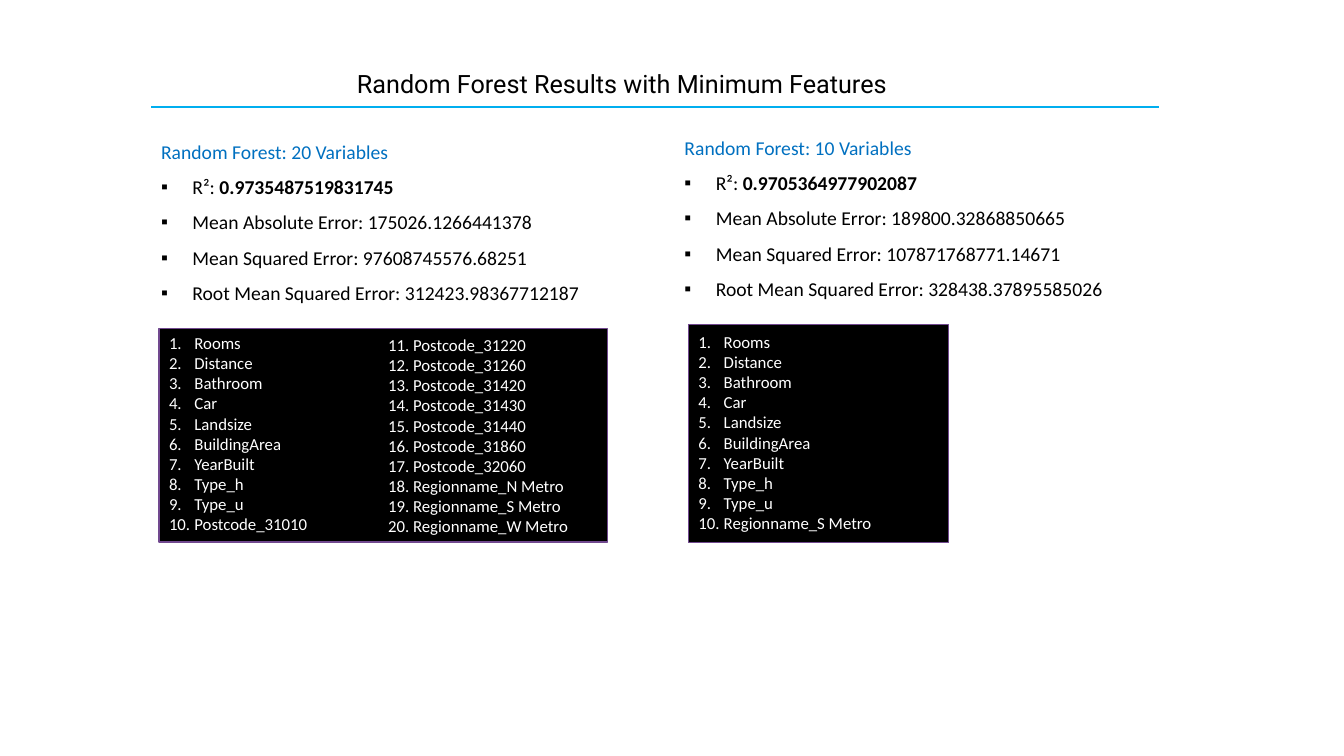
from lxml.etree import SubElement
from pptx import Presentation
from pptx.dml.color import RGBColor
from pptx.enum.shapes import MSO_CONNECTOR as Connector, MSO_SHAPE as Shape
from pptx.enum.text import MSO_ANCHOR as Anchor, MSO_AUTO_SIZE as AutoSize, PP_ALIGN as Align
from pptx.oxml.ns import qn
from pptx.util import Cm, Pt

COLORS = {
    "text": "000000",
    "rule": "00AEEF",
    "heading": "0070C0",
    "panel": "000000",
    "panel_edge": "71498F",
    "panel_text": "FFFFFF",
}

SHARED_FEATURES = ["Rooms", "Distance", "Bathroom", "Car", "Landsize",
                   "BuildingArea", "YearBuilt", "Type_h", "Type_u"]
EXTRA_FEATURES = [f"Postcode_{code}" for code in
                  (31220, 31260, 31420, 31430, 31440, 31860, 32060)]
EXTRA_FEATURES += [f"Regionname_{side} Metro" for side in "NSW"]
METRICS = ["R²", "Mean Absolute Error", "Mean Squared Error", "Root Mean Squared Error"]


def color(name):
    return RGBColor.from_string(COLORS[name])


def set_font(para, name, size, color_name):
    para.font.name = name
    para.font.size = Pt(size)
    para.font.color.rgb = color(color_name)


def set_bullet(para, indent, tag, **attributes):
    props = para._p.get_or_add_pPr()
    props.set("marL", str(Cm(indent)))
    props.set("indent", str(-Cm(indent)))
    SubElement(props, qn("a:buFont"), typeface="Arial")
    SubElement(props, qn(tag), **attributes)


def add_text(page, left, top, width, height):
    box = page.shapes.add_textbox(Cm(left), Cm(top), Cm(width), Cm(height))
    box.text_frame.word_wrap = True
    return box.text_frame


def add_paragraph(frame, index):
    return frame.add_paragraph() if index else frame.paragraphs[0]


def add_header(page, left, top, width):
    # Title
    title = page.shapes.title
    title.left, title.top, title.width, title.height = Cm(left - 0.2), Cm(top), Cm(24.13), Cm(1.37)
    frame = title.text_frame
    frame.text = "Random Forest Results with Minimum Features"
    frame.auto_size = AutoSize.NONE
    frame.vertical_anchor = Anchor.BOTTOM
    para = frame.paragraphs[0]
    para.alignment = Align.CENTER
    para.line_spacing = 0.8
    set_font(para, "Roboto", 18, "text")

    # Rule under the title
    rule_top = Cm(top + 1.45)
    rule = page.shapes.add_connector(Connector.STRAIGHT, Cm(left), rule_top, Cm(left + width), rule_top)
    rule.line.color.rgb = color("rule")
    rule.line.width = Pt(1.5)
    SubElement(rule._element.spPr, qn("a:effectLst"))


def add_metrics(page, left, top, width, heading, values):
    frame = add_text(page, left, top, width, 4.65)
    para = frame.paragraphs[0]
    para.text = heading
    para.line_spacing = 1.5
    set_font(para, "Calibri", 14, "heading")
    for index, (metric, value) in enumerate(zip(METRICS, values)):
        para = frame.add_paragraph()
        para.line_spacing = 1.5
        set_bullet(para, 0.79, "a:buChar", char="▪")
        set_font(para, "Calibri", 14, "text")
        para.add_run().text = f"{metric}: "
        span = para.add_run()
        span.text = value
        if index == 0:
            span.font.bold = True


def add_panel(page, left, top, width, height):
    panel = page.shapes.add_shape(Shape.RECTANGLE, Cm(left), Cm(top), Cm(width), Cm(height))
    panel.shadow.inherit = False
    panel.fill.solid()
    panel.fill.fore_color.rgb = color("panel")
    panel.line.color.rgb = color("panel_edge")
    panel.line.width = Pt(1)


def add_features(page, left, top, width, features, typed_from=None):
    """Numbers the features automatically, or with typed numbers from typed_from."""
    frame = add_text(page, left, top, width, 5.38)
    for index, feature in enumerate(features):
        para = add_paragraph(frame, index)
        if typed_from is None:
            para.text = feature
            set_bullet(para, 0.64, "a:buAutoNum", type="arabicPeriod")
        else:
            para.text = f"{typed_from + index}. {feature}"
        set_font(para, "Calibri", 12, "panel_text")


def main():
    deck = Presentation()
    deck.slide_width, deck.slide_height = Cm(33.87), Cm(19.05)
    page = deck.slides.add_slide(deck.slide_layouts[5])

    add_header(page, 3.81, 1.24, 25.4)

    # Model with 20 variables
    add_metrics(page, 3.81, 3.1, 11.86, "Random Forest: 20 Variables",
                ["0.9735487519831745", "175026.1266441378",
                 "97608745576.68251", "312423.98367712187"])
    add_panel(page, 4.01, 8.28, 11.3, 5.38)
    add_features(page, 4.01, 8.26, 5.79, SHARED_FEATURES + ["Postcode_31010"])
    add_features(page, 9.53, 8.31, 5.11, EXTRA_FEATURES, typed_from=11)

    # Model with 10 variables
    add_metrics(page, 17, 3, 11.63, "Random Forest: 10 Variables",
                ["0.9705364977902087", "189800.32868850665",
                 "107871768771.14671", "328438.37895585026"])
    add_panel(page, 17.35, 8.18, 6.55, 5.49)
    add_features(page, 17.35, 8.23, 5.28, SHARED_FEATURES + ["Regionname_S Metro"])

    deck.save("out.pptx")


if __name__ == "__main__":
    main()
